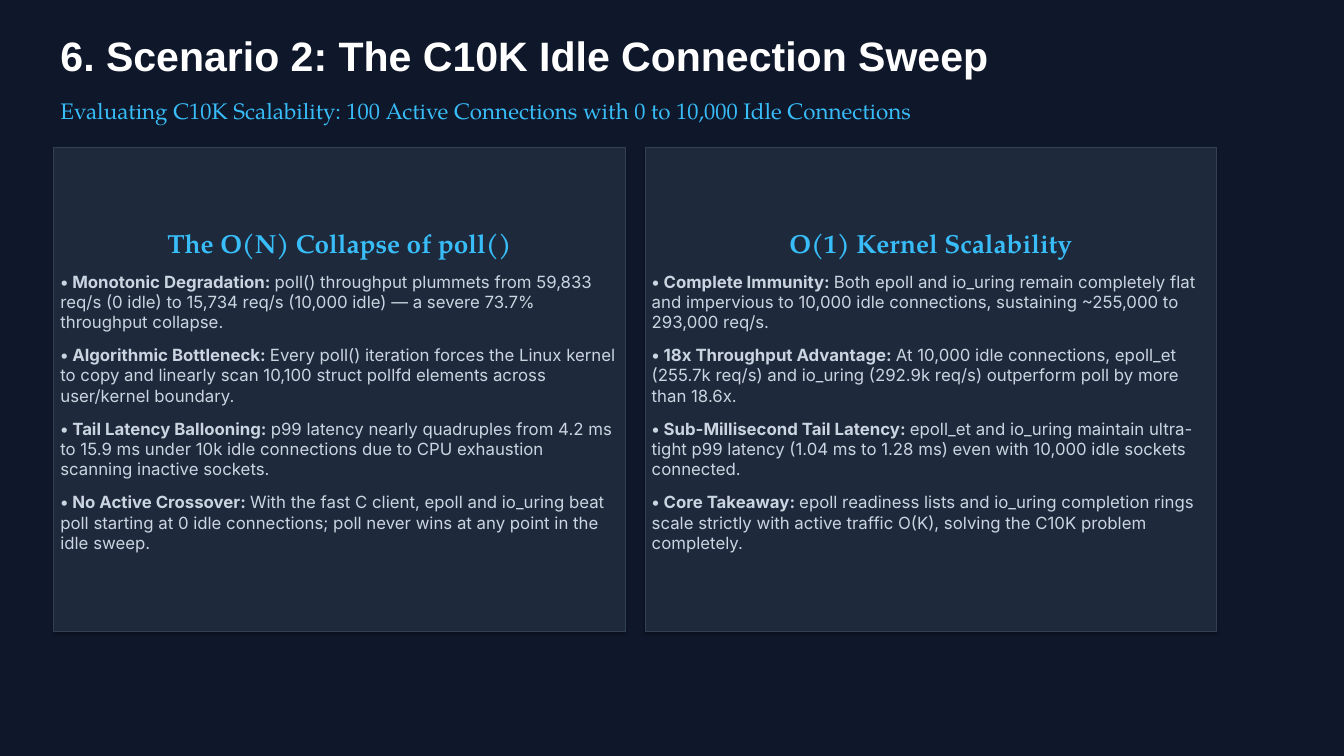
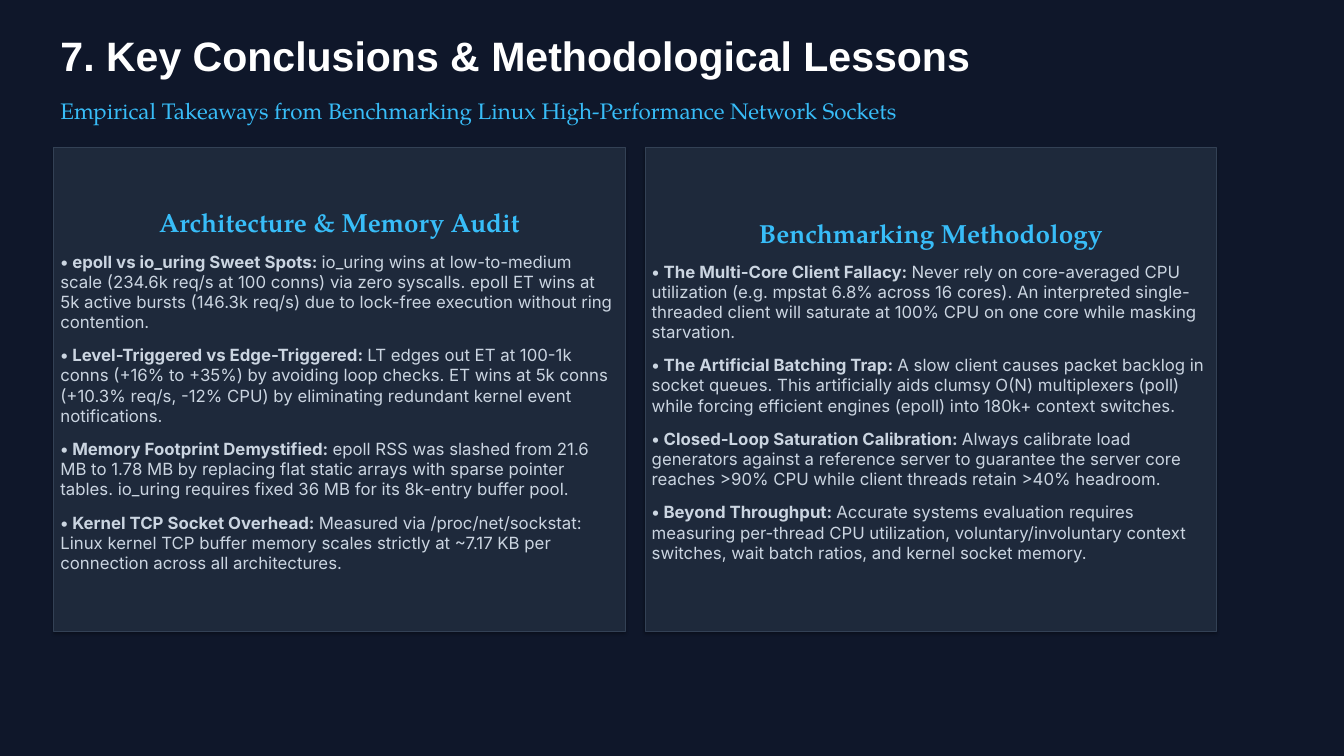
from dataclasses import dataclass

from pptx import Presentation
from pptx.dml.color import RGBColor
from pptx.enum.shapes import MSO_SHAPE
from pptx.enum.text import MSO_ANCHOR, MSO_AUTO_SIZE, PP_ALIGN
from pptx.util import Emu, Pt

RECT = MSO_SHAPE.RECTANGLE
TOP, MIDDLE = MSO_ANCHOR.TOP, MSO_ANCHOR.MIDDLE
LEFT, CENTER = PP_ALIGN.LEFT, PP_ALIGN.CENTER
FIXED, GROW = MSO_AUTO_SIZE.NONE, MSO_AUTO_SIZE.SHAPE_TO_FIT_TEXT

PX = 9144  # 100 px to the inch
WIDE, HIGH = 2000, 1125
EDGE, HEAD_W = 80, 1700
CARD_Y, CARD_W, CARD_H, GAP = 220, 850, 720, 30
TITLE_ONLY = 5


@dataclass(frozen=True)
class Style:
    face: str
    size: int
    color: str
    bold: bool = False


@dataclass(frozen=True)
class Theme:
    page: str = "0F172A"
    card: str = "1E293B"
    rim: str = "334155"
    rim_pt: float = 0.75
    space: int = 14
    title: Style = Style("Arial", 44, "FFFFFF", True)
    lead: Style = Style("TeX Gyre Pagella", 24, "38BDF8")
    head: Style = Style("TeX Gyre Pagella", 28, "38BDF8", True)
    term: Style = Style("Inter", 18, "CBD5E1", True)
    body: Style = Style("Inter", 18, "CBD5E1")


def rgb(color):
    return RGBColor.from_string(color)


def px(*sizes):
    return [Emu(size * PX) for size in sizes]


class Deck:
    def __init__(self, theme):
        self.theme = theme
        self.show = Presentation()
        self.show.slide_width, self.show.slide_height = px(WIDE, HIGH)
        self.slide = None
        # Page colour shared by every slide
        fill = self.show.slide_master.background.fill
        fill.solid()
        fill.fore_color.rgb = rgb(theme.page)

    def run(self, para, text, style):
        run = para.add_run()
        run.text = text
        font = run.font
        font.name, font.size, font.bold = style.face, Pt(style.size), style.bold
        font.color.rgb = rgb(style.color)

    def frame(self, shape, anchor, fit):
        frame = shape.text_frame
        frame.word_wrap = True
        frame.auto_size = fit
        frame.vertical_anchor = anchor
        return frame

    def line(self, shape, text, style, fit):
        para = self.frame(shape, TOP, fit).paragraphs[0]
        para.alignment = LEFT
        self.run(para, text, style)

    def start(self, title):
        layout = self.show.slide_layouts[TITLE_ONLY]
        self.slide = self.show.slides.add_slide(layout)
        box = self.slide.shapes.title
        box.left, box.top, box.width, box.height = px(EDGE, 40, HEAD_W, 90)
        self.line(box, title, self.theme.title, FIXED)

    def lead(self, text):
        box = self.slide.shapes.add_textbox(*px(EDGE, 140, HEAD_W, 60))
        self.line(box, text, self.theme.lead, GROW)

    def card(self, col, head, points):
        theme = self.theme
        left = EDGE + col * (CARD_W + GAP)
        # The card keeps the soft shadow of the document theme
        card = self.slide.shapes.add_shape(
            RECT, *px(left, CARD_Y, CARD_W, CARD_H))
        card.fill.solid()
        card.fill.fore_color.rgb = rgb(theme.card)
        card.line.color.rgb = rgb(theme.rim)
        card.line.width = Pt(theme.rim_pt)

        frame = self.frame(card, MIDDLE, FIXED)
        para = frame.paragraphs[0]
        para.alignment = CENTER
        self.run(para, head, theme.head)
        for term, text in points:
            para = frame.add_paragraph()
            para.alignment = LEFT
            para.space_before = Pt(theme.space)
            self.run(para, f"• {term}: ", theme.term)
            self.run(para, text, theme.body)


# Each slide: title, lead line, then cards of (head, points)
SLIDES = [
    ("6. Scenario 2: The C10K Idle Connection Sweep",
     "Evaluating C10K Scalability: 100 Active Connections with 0 to 10,000 "
     "Idle Connections",
     [("The O(N) Collapse of poll()", [
         ("Monotonic Degradation",
          "poll() throughput plummets from 59,833 req/s (0 idle) to 15,734 "
          "req/s (10,000 idle) — a severe 73.7% throughput collapse."),
         ("Algorithmic Bottleneck",
          "Every poll() iteration forces the Linux kernel to copy and "
          "linearly scan 10,100 struct pollfd elements across user/kernel "
          "boundary."),
         ("Tail Latency Ballooning",
          "p99 latency nearly quadruples from 4.2 ms to 15.9 ms under 10k "
          "idle connections due to CPU exhaustion scanning inactive "
          "sockets."),
         ("No Active Crossover",
          "With the fast C client, epoll and io_uring beat poll starting at "
          "0 idle connections; poll never wins at any point in the idle "
          "sweep."),
     ]),
      ("O(1) Kernel Scalability", [
          ("Complete Immunity",
           "Both epoll and io_uring remain completely flat and impervious to "
           "10,000 idle connections, sustaining ~255,000 to 293,000 req/s."),
          ("18x Throughput Advantage",
           "At 10,000 idle connections, epoll_et (255.7k req/s) and io_uring "
           "(292.9k req/s) outperform poll by more than 18.6x."),
          ("Sub-Millisecond Tail Latency",
           "epoll_et and io_uring maintain ultra-tight p99 latency (1.04 ms "
           "to 1.28 ms) even with 10,000 idle sockets connected."),
          ("Core Takeaway",
           "epoll readiness lists and io_uring completion rings scale "
           "strictly with active traffic O(K), solving the C10K problem "
           "completely."),
      ])]),
    ("7. Key Conclusions & Methodological Lessons",
     "Empirical Takeaways from Benchmarking Linux High-Performance Network "
     "Sockets",
     [("Architecture & Memory Audit", [
         ("epoll vs io_uring Sweet Spots",
          "io_uring wins at low-to-medium scale (234.6k req/s at 100 conns) "
          "via zero syscalls. epoll ET wins at 5k active bursts (146.3k "
          "req/s) due to lock-free execution without ring contention."),
         ("Level-Triggered vs Edge-Triggered",
          "LT edges out ET at 100-1k conns (+16% to +35%) by avoiding loop "
          "checks. ET wins at 5k conns (+10.3% req/s, -12% CPU) by "
          "eliminating redundant kernel event notifications."),
         ("Memory Footprint Demystified",
          "epoll RSS was slashed from 21.6 MB to 1.78 MB by replacing flat "
          "static arrays with sparse pointer tables. io_uring requires fixed "
          "36 MB for its 8k-entry buffer pool."),
         ("Kernel TCP Socket Overhead",
          "Measured via /proc/net/sockstat: Linux kernel TCP buffer memory "
          "scales strictly at ~7.17 KB per connection across all "
          "architectures."),
     ]),
      ("Benchmarking Methodology", [
          ("The Multi-Core Client Fallacy",
           "Never rely on core-averaged CPU utilization (e.g. mpstat 6.8% "
           "across 16 cores). An interpreted single-threaded client will "
           "saturate at 100% CPU on one core while masking starvation."),
          ("The Artificial Batching Trap",
           "A slow client causes packet backlog in socket queues. This "
           "artificially aids clumsy O(N) multiplexers (poll) while forcing "
           "efficient engines (epoll) into 180k+ context switches."),
          ("Closed-Loop Saturation Calibration",
           "Always calibrate load generators against a reference server to "
           "guarantee the server core reaches >90% CPU while client threads "
           "retain >40% headroom."),
          ("Beyond Throughput",
           "Accurate systems evaluation requires measuring per-thread CPU "
           "utilization, voluntary/involuntary context switches, wait batch "
           "ratios, and kernel socket memory."),
      ])]),
]


def main():
    deck = Deck(Theme())
    for title, lead, cards in SLIDES:
        deck.start(title)
        deck.lead(lead)
        for col, (head, points) in enumerate(cards):
            deck.card(col, head, points)
    deck.show.save("out.pptx")


if __name__ == "__main__":
    main()
